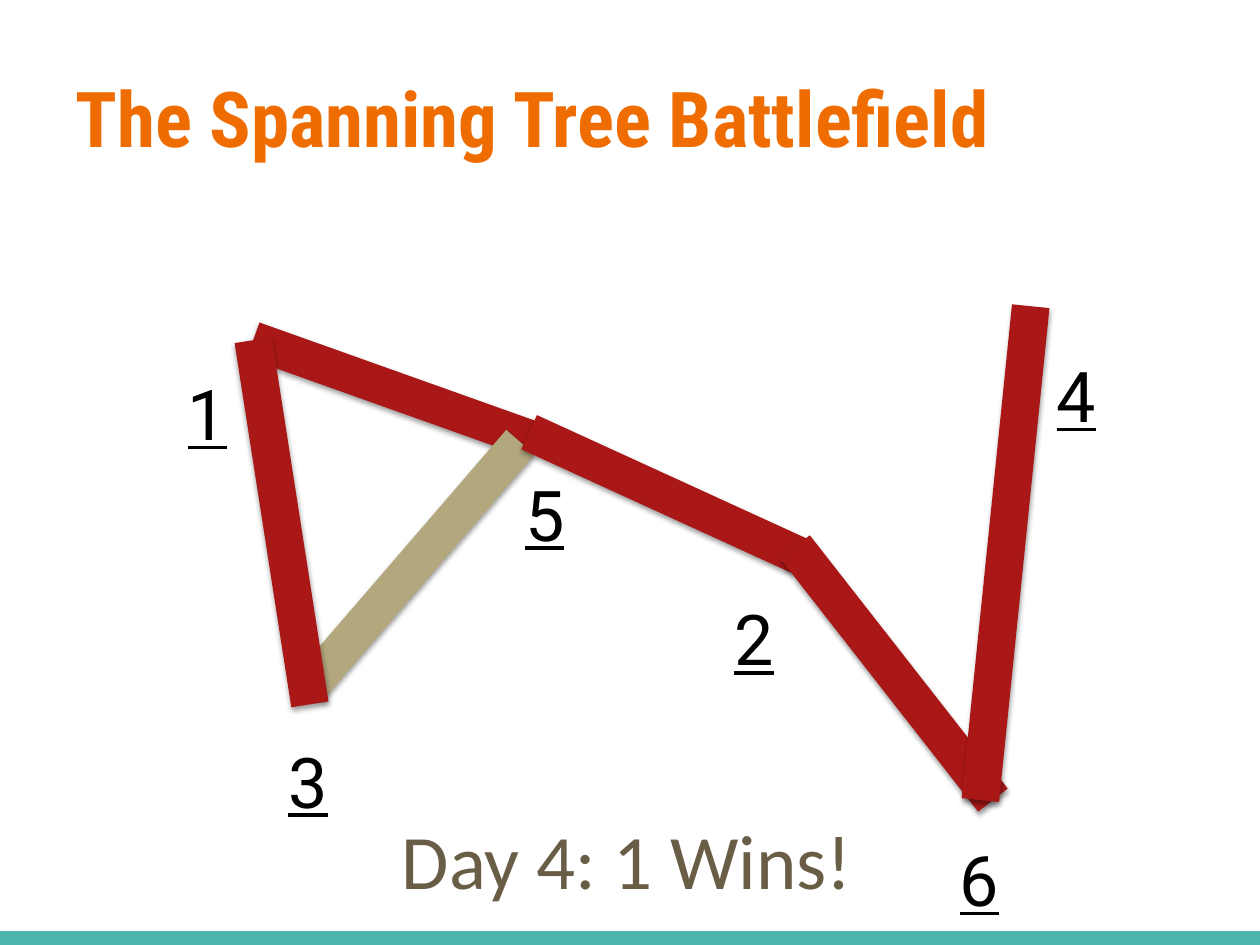
from lxml import etree
from pptx import Presentation
from pptx.dml.color import RGBColor
from pptx.enum.shapes import MSO_CONNECTOR
from pptx.enum.text import MSO_ANCHOR, PP_ALIGN
from pptx.oxml.ns import qn
from pptx.util import Pt

STRAIGHT = MSO_CONNECTOR.STRAIGHT
MIDDLE = MSO_ANCHOR.MIDDLE
TOP = MSO_ANCHOR.TOP
LEFT = PP_ALIGN.LEFT
TITLE_ONLY = 5

COLORS = {
    "title": "EF6C00",
    "caption": "695D46",
    "label": "000000",
    "footer": "4DB6AC",
    "active": "AA1717",
    "blocked": "B3A77D",
    "shadow": "000000",
}

NODE_LABELS = [
    ("2", 412.6, 337),
    ("1", 100.1, 208.1),
    ("3", 157.7, 418.3),
    ("4", 596.9, 198),
    ("5", 293, 265.7),
    ("6", 541.4, 474.5),
]

LINKS = [
    ((144.7, 194.4), (302.4, 250.6), "active"),
    ((176.4, 393.1), (297.4, 252.7), "blocked"),
    ((456.5, 317.5), (302.4, 247), "active"),
    ((454.3, 312.5), (567.4, 457.2), "active"),
    ((589, 175), (560.2, 457.2), "active"),
    ((177.1, 402.5), (144.7, 194.4), "active"),
]


def write_text(shape, text, *, size, font, color, bold=False, underline=False, anchor=TOP):
    frame = shape.text_frame
    frame.word_wrap = True
    frame.vertical_anchor = anchor
    paragraph = frame.paragraphs[0]
    paragraph.alignment = LEFT
    run = paragraph.add_run()
    run.text = text
    run.font.size = Pt(size)
    run.font.name = font
    run.font.bold = bold
    run.font.underline = underline
    run.font.color.rgb = RGBColor.from_string(COLORS[color])


def place(shape, left, top, width, height):
    shape.left, shape.top = Pt(left), Pt(top)
    shape.width, shape.height = Pt(width), Pt(height)


def add_text(slide, text, left, top, width, height, **text_format):
    box = slide.shapes.add_textbox(Pt(left), Pt(top), Pt(width), Pt(height))
    write_text(box, text, **text_format)


def add_shadow(connector):
    effects = etree.SubElement(connector._element.spPr, qn("a:effectLst"))
    shadow = etree.SubElement(
        effects,
        qn("a:outerShdw"),
        blurRad=str(Pt(3.1)),
        dist=str(Pt(1.6)),
        dir="5400000",
        rotWithShape="0",
    )
    color = etree.SubElement(shadow, qn("a:srgbClr"), val=COLORS["shadow"])
    etree.SubElement(color, qn("a:alpha"), val="38000")


def add_line(slide, start, end, color, width):
    points = [Pt(value) for value in (*start, *end)]
    connector = slide.shapes.add_connector(STRAIGHT, *points)
    connector.line.color.rgb = RGBColor.from_string(COLORS[color])
    connector.line.width = Pt(width)
    add_shadow(connector)


def main():
    presentation = Presentation()
    presentation.slide_width = Pt(720)
    presentation.slide_height = Pt(540)
    slide = presentation.slides.add_slide(presentation.slide_layouts[TITLE_ONLY])

    add_line(slide, (0, 537.1), (720, 537.1), "footer", 10)
    title = slide.shapes.title
    place(title, 36, 21.6, 648, 90)
    write_text(title, "The Spanning Tree Battlefield", size=44,
               font="Roboto Condensed", color="title", bold=True, anchor=MIDDLE)
    add_text(slide, "Day 4: 1 Wins!", 222.5, 460.8, 274.3, 60.5,
             size=44, font="Calibri", color="caption")

    for start, end, color in LINKS:
        add_line(slide, start, end, color, 21.5)
    for text, left, top in NODE_LABELS:
        add_text(slide, text, left, top, 37.4, 55.4,
                 size=40, font="Roboto", color="label", underline=True)

    presentation.save("out.pptx")


if __name__ == "__main__":
    main()
